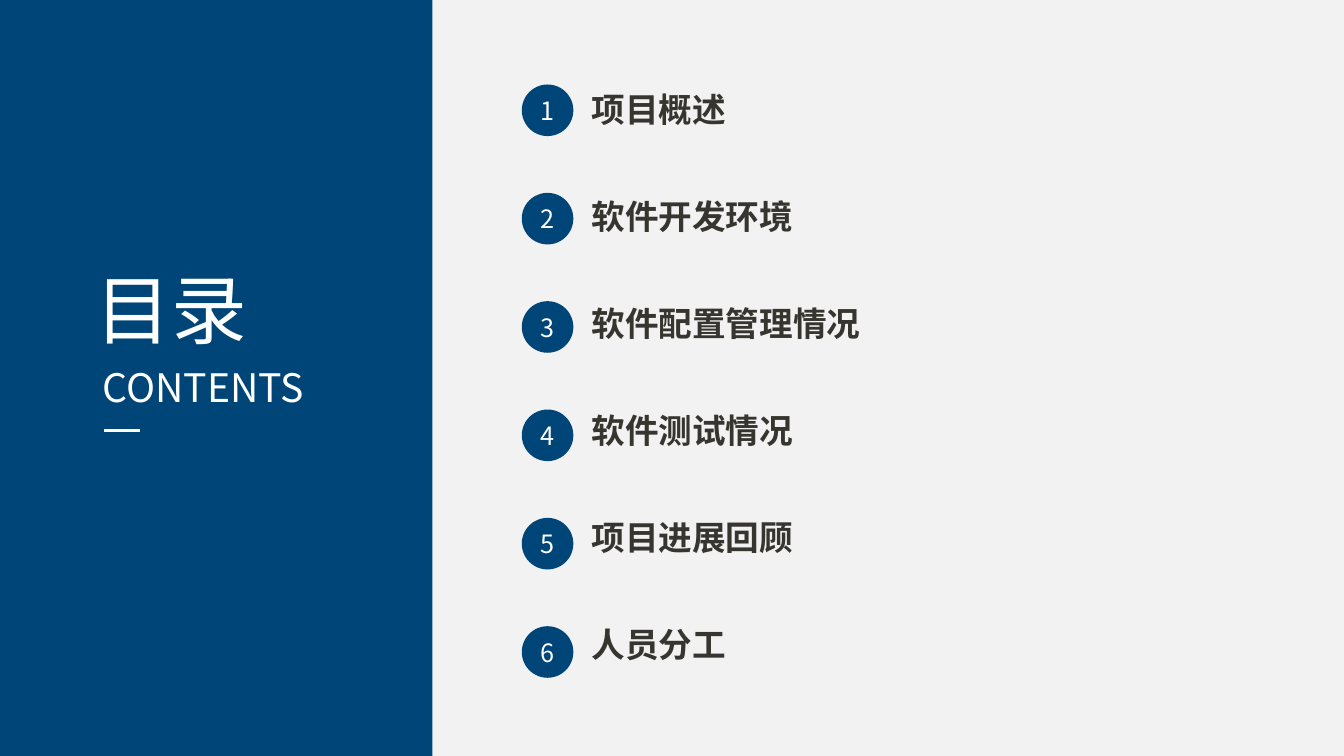
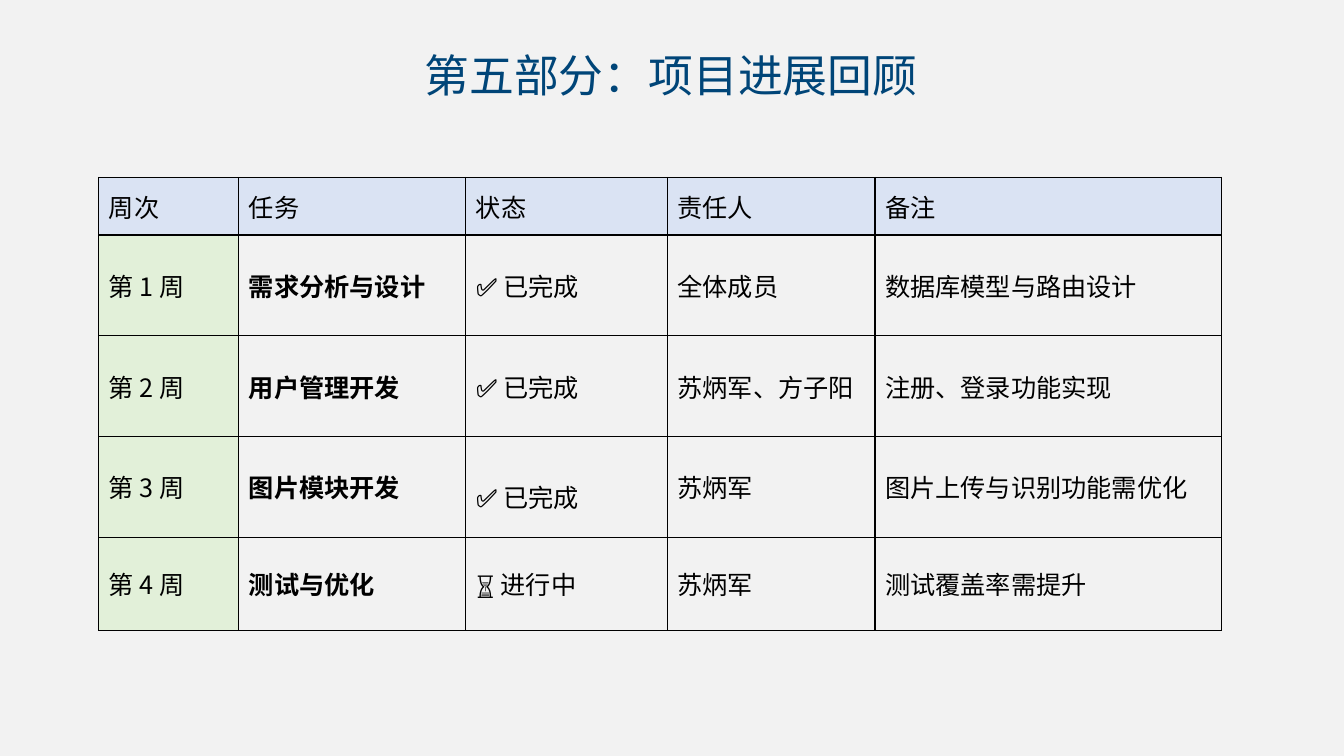
from lxml import etree
from pptx import Presentation
from pptx import util as u
from pptx.dml import color
from pptx.enum import shapes, text
from pptx.oxml import ns

# Shared look
NAVY, WHITE, BLACK, INK = "004578", "FFFFFF", "000000", "37352F"
PAPER, HEADER_BLUE, WEEK_GREEN = "F2F2F2", "DAE3F3", "E2F0D9"
SANS = "Noto Sans CJK SC"
ALIGN = text.PP_ALIGN

# Contents slide
CHAPTERS = ["项目概述", "软件开发环境", "软件配置管理情况",
            "软件测试情况", "项目进展回顾", "人员分工"]
BADGE_LEFT, BADGE_TOP, BADGE_SIZE, BADGE_PITCH = 13.15, 2.13, 1.3, 2.73

# Progress slide
COLUMN_WIDTHS = [3.53, 5.72, 5.08, 5.23, 8.74]
ROW_HEIGHTS = [1.45, 2.54, 2.54, 2.54, 2.34]
PROGRESS = [
    ["周次", "任务", "状态", "责任人", "备注"],
    ["第 1 周", "需求分析与设计", "✅ 已完成", "全体成员", "数据库模型与路由设计"],
    ["第 2 周", "用户管理开发", "✅ 已完成", "苏炳军、方子阳", "注册、登录功能实现"],
    ["第 3 周", "图片模块开发", "✅ 已完成", "苏炳军", "图片上传与识别功能需优化"],
    ["第 4 周", "测试与优化", "⏳ 进行中", "苏炳军", "测试覆盖率需提升"],
]


def rgb(value):
    return color.RGBColor.from_string(value)


def box(left, top, width, height):
    return [u.Cm(value) for value in (left, top, width, height)]


def apply(target, values):
    for name, value in values.items():
        setattr(target, name, value)


def write(paragraph, words, size, colour, bold=False, font=SANS, **layout):
    """Fill a paragraph with one run, in one typeface for all scripts."""
    apply(paragraph, layout)
    run = paragraph.add_run()
    run.text = words
    apply(run.font, {"size": u.Pt(size), "bold": bold, "name": font})
    run.font.color.rgb = rgb(colour)
    etree.SubElement(run.font._element, ns.qn("a:ea"), typeface=font)


def add_text(slide, place, lines, size, colour, **style):
    frame = slide.shapes.add_textbox(*box(*place)).text_frame
    apply(frame, {"word_wrap": True,
                  "auto_size": text.MSO_AUTO_SIZE.SHAPE_TO_FIT_TEXT})
    for index, line in enumerate(lines):
        paragraph = frame.add_paragraph() if index else frame.paragraphs[0]
        write(paragraph, line, size, colour, **style)


def add_filled(slide, kind, place, fill):
    shape = slide.shapes.add_shape(kind, *box(*place))
    shape.shadow.inherit = False
    shape.fill.solid()
    shape.fill.fore_color.rgb = rgb(fill)
    shape.line.fill.background()
    return shape


def add_badge(slide, number, left, top):
    place = (left, top, BADGE_SIZE, BADGE_SIZE)
    frame = add_filled(slide, shapes.MSO_SHAPE.OVAL, place, NAVY).text_frame
    apply(frame, {"margin_left": 0, "margin_right": 0,
                  "vertical_anchor": text.MSO_ANCHOR.MIDDLE})
    write(frame.paragraphs[0], str(number), 18, WHITE, alignment=ALIGN.CENTER)


def add_rule(slide, left, top, length, colour, width):
    line = slide.shapes.add_connector(
        shapes.MSO_CONNECTOR.STRAIGHT,
        u.Cm(left), u.Cm(top), u.Cm(left + length), u.Cm(top))
    line.line.color.rgb = rgb(colour)
    line.line.width = u.Pt(width)
    etree.SubElement(line._element.spPr, ns.qn("a:effectLst"))


def set_borders(cell, colour, width):
    properties = cell._tc.get_or_add_tcPr()
    for index, side in enumerate(("a:lnL", "a:lnR", "a:lnT", "a:lnB")):
        line = etree.Element(ns.qn(side), w=str(u.Pt(width)))
        fill = etree.SubElement(line, ns.qn("a:solidFill"))
        etree.SubElement(fill, ns.qn("a:srgbClr"), val=colour)
        properties.insert(index, line)


def add_table(slide, left, top, rows):
    place = box(left, top, sum(COLUMN_WIDTHS), sum(ROW_HEIGHTS))
    table = slide.shapes.add_table(len(rows), len(rows[0]), *place).table
    apply(table, {"first_row": False, "horz_banding": False})
    for column, width in zip(table.columns, COLUMN_WIDTHS):
        column.width = u.Cm(width)
    for row, height in zip(table.rows, ROW_HEIGHTS):
        row.height = u.Cm(height)
    for r, row in enumerate(rows):
        for c, words in enumerate(row):
            cell = table.cell(r, c)
            cell.vertical_anchor = text.MSO_ANCHOR.MIDDLE
            if r == 0 or c == 0:
                cell.fill.solid()
                cell.fill.fore_color.rgb = rgb(WEEK_GREEN if r else HEADER_BLUE)
            else:
                cell.fill.background()
            set_borders(cell, BLACK, 1)
            write(cell.text_frame.paragraphs[0], words, 18, BLACK,
                  bold=r > 0 and c == 1)
    return table


def build_contents(slide):
    # Side band with heading
    add_filled(slide, shapes.MSO_SHAPE.RECTANGLE, (0, 0, 10.9, 19.05), NAVY)
    add_text(slide, (2.16, 6.5, 4.52, 2.57), ["目录"], 54, WHITE,
             alignment=ALIGN.JUSTIFY)
    add_text(slide, (2.34, 9.04, 6.22, 1.45), ["CONTENTS"], 28, WHITE,
             alignment=ALIGN.JUSTIFY)
    add_rule(slide, 2.62, 10.85, 0.91, WHITE, 2.25)

    # Numbered chapters
    add_text(slide, (14.66, 2.08, 16.94, 15.16), CHAPTERS, 24, INK,
             bold=True, font="Karla",
             line_spacing=u.Pt(30), space_after=u.Pt(46.4))
    for index in range(len(CHAPTERS)):
        add_badge(slide, index + 1, BADGE_LEFT, BADGE_TOP + index * BADGE_PITCH)


def build_progress(slide):
    add_text(slide, (10.03, 1.09, 13.77, 1.63), ["第五部分：项目进展回顾"],
             32, NAVY, alignment=ALIGN.CENTER)
    table = add_table(slide, 2.49, 4.47, PROGRESS)
    # The status of week 3 sits a little lower
    table.cell(3, 2).margin_top = u.Cm(0.61)


def main():
    presentation = Presentation()
    apply(presentation, {"slide_width": u.Cm(33.87), "slide_height": u.Cm(19.05)})
    background = presentation.slide_master.background.fill
    background.solid()
    background.fore_color.rgb = rgb(PAPER)
    for build in (build_contents, build_progress):
        build(presentation.slides.add_slide(presentation.slide_layouts[6]))
    presentation.save("out.pptx")


if __name__ == "__main__":
    main()
